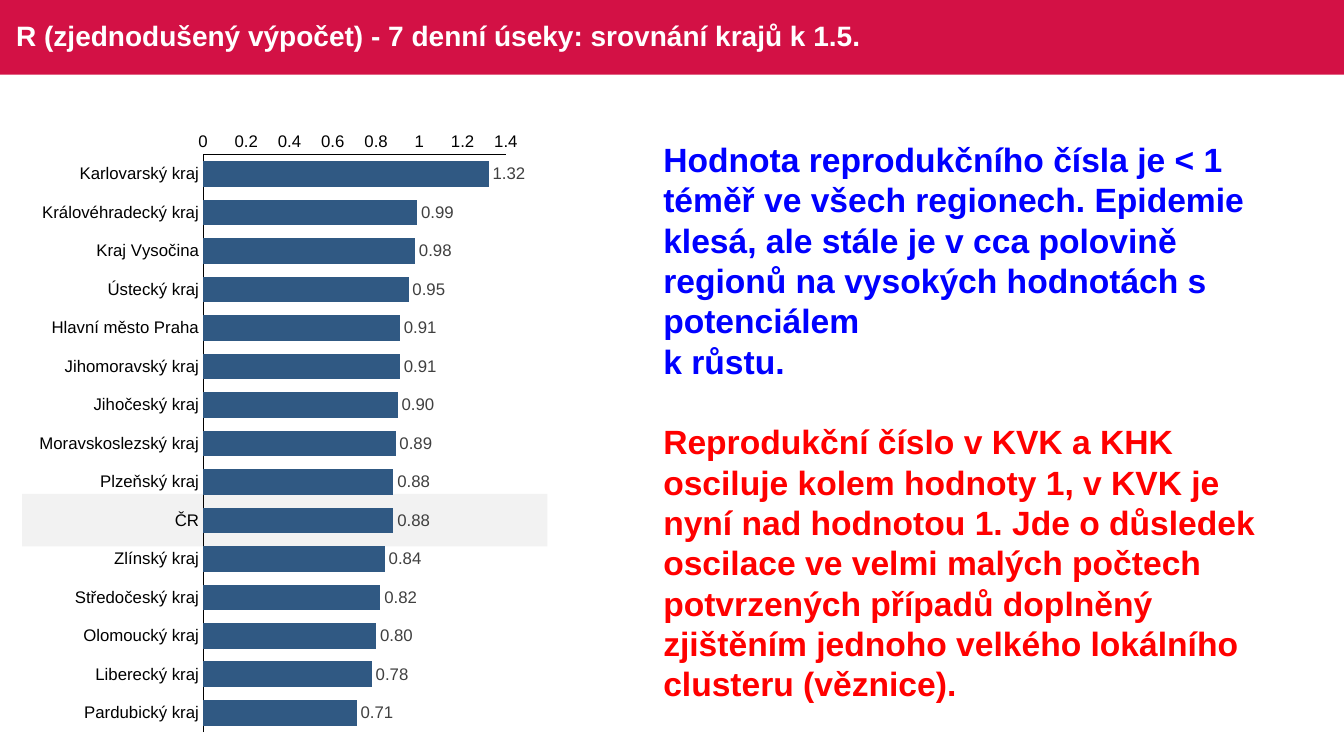
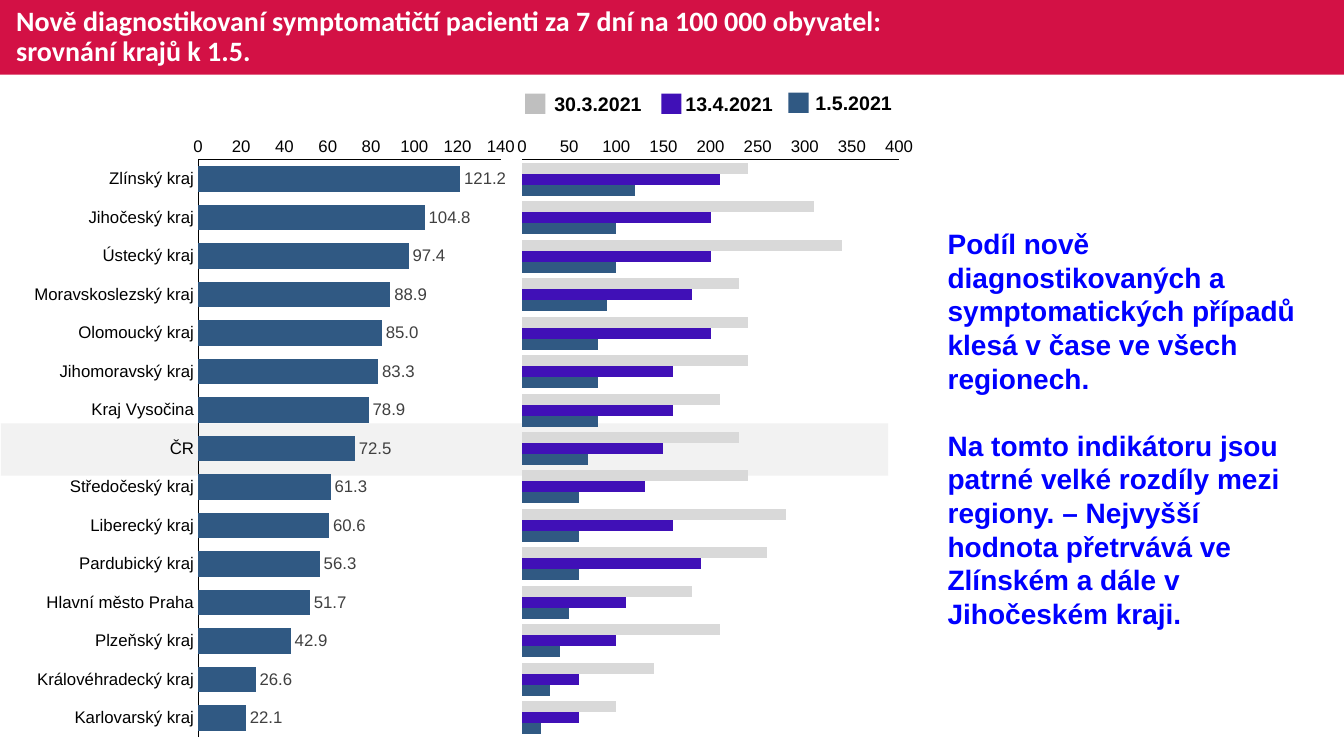
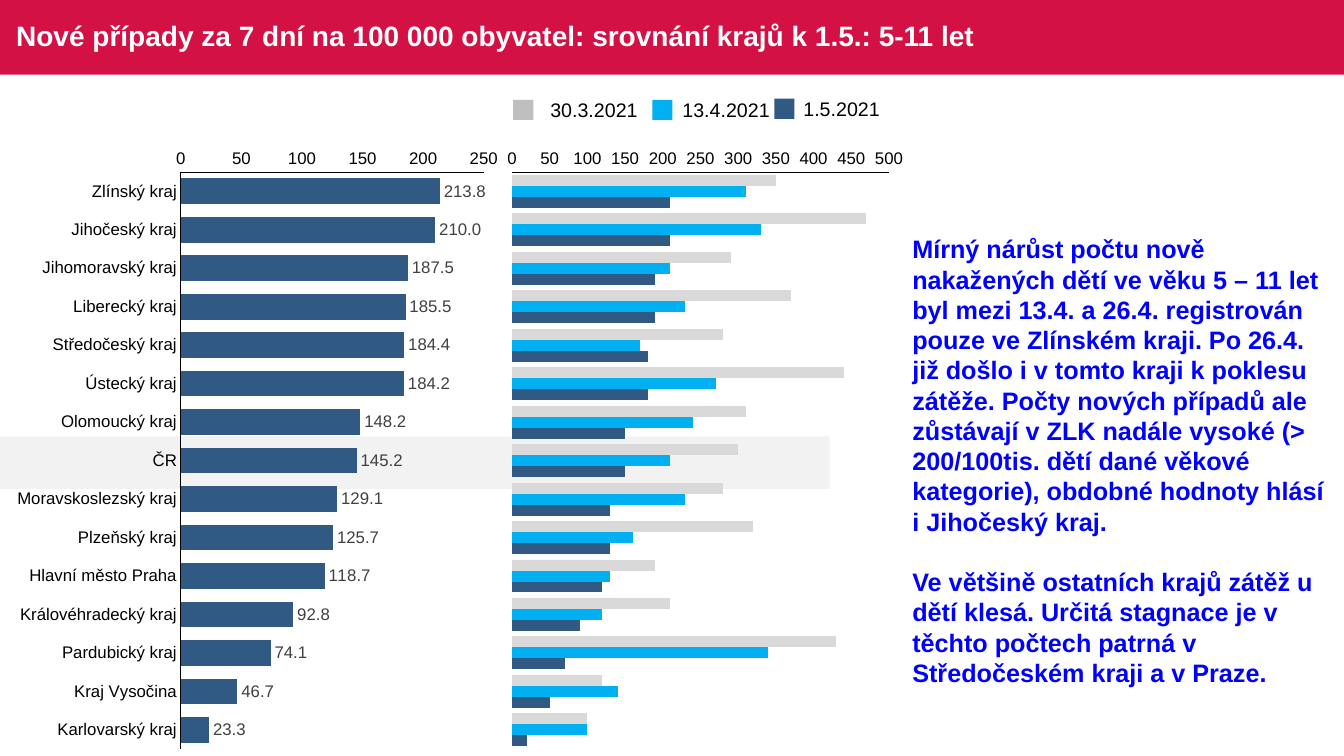
from lxml.etree import SubElement
from pptx import Presentation
from pptx.chart.data import CategoryChartData
from pptx.dml.color import RGBColor
from pptx.enum.chart import XL_CHART_TYPE, XL_LABEL_POSITION, XL_TICK_MARK
from pptx.enum.shapes import MSO_SHAPE
from pptx.enum.text import MSO_ANCHOR, MSO_AUTO_SIZE, PP_ALIGN
from pptx.oxml.ns import qn
from pptx.util import Inches, Pt

COLORS = {
    "band": "D31145", "white": "FFFFFF", "black": "000000", "label": "404040",
    "row": "F2F2F2", "key": "BFBFBF", "march": "D9D9D9", "violet": "4010B7",
    "sky": "00B0F0", "may": "305983", "blue": "0000FF", "red": "FF0000",
}
PLOT_TOP, PLOT_HEIGHT = 0.05, 0.93
CHART_HEIGHT = 6.19


def rgb(name):
    return RGBColor.from_string(COLORS[name])


def style_font(font, size, color, bold=False, name="Arial"):
    font.size, font.bold, font.name = Pt(size), bold, name
    font.color.rgb = rgb(color)


def write(p, text, size=20, color="black", bold=True, font="Arial", before=0, spacing=None):
    p.text = text
    p.alignment = PP_ALIGN.LEFT
    p.line_spacing = spacing
    if before:
        p.space_before = Pt(before)
    for r in p.runs:
        style_font(r.font, size, color, bold, font)


class Deck:
    """Holds the shared style and the current slide."""

    def __init__(self):
        self.prs = Presentation()
        self.prs.slide_width, self.prs.slide_height = Inches(13.33), Inches(7.5)
        self.s = None

    def slide(self, title, width=12.01, font="Arial"):
        self.s = self.prs.slides.add_slide(self.prs.slide_layouts[5])
        if len(self.prs.slides) == 1:
            band = self.rect(0, 0, 13.33, 0.74, "band")
            self.prs.slide_master.shapes.element.insert(2, band.element)
        sp = self.s.shapes.title
        sp.left, sp.top, sp.width, sp.height = (Inches(v) for v in (0.06, 0, width, 0.74))
        tf = sp.text_frame
        tf.vertical_anchor = MSO_ANCHOR.MIDDLE
        tf.auto_size = MSO_AUTO_SIZE.NONE
        write(tf.paragraphs[0], title, color="white", font=font, spacing=0.9)

    def rect(self, x, y, w, h, color):
        sp = self.s.shapes.add_shape(
            MSO_SHAPE.RECTANGLE, Inches(x), Inches(y), Inches(w), Inches(h))
        sp.shadow.inherit = False
        sp.fill.solid()
        sp.fill.fore_color.rgb = rgb(color)
        sp.line.fill.background()
        return sp

    def text(self, x, y, w, h, paragraphs, wrap=True):
        sp = self.s.shapes.add_textbox(Inches(x), Inches(y), Inches(w), Inches(h))
        tf = sp.text_frame
        tf.word_wrap = wrap
        tf.auto_size = MSO_AUTO_SIZE.SHAPE_TO_FIT_TEXT
        for i, (text, style) in enumerate(paragraphs):
            write(tf.add_paragraph() if i else tf.paragraphs[0], text, **style)

    def legend(self, entries, bold):
        for key_x, text_x, y, w, color, text in entries:
            self.rect(key_x, y, 0.2, 0.2, color)
            self.text(text_x, y - 0.07, w, 0.34,
                      [(text, dict(size=14, bold=bold))], wrap=False)

    def bars(self, x, y, w, plot_x, plot_w, cats, series, top, step, fmt):
        data = CategoryChartData()
        data.categories = cats
        for i, (_, values) in enumerate(series, 1):
            data.add_series(f"Series {i}", values)
        chart = self.s.shapes.add_chart(
            XL_CHART_TYPE.BAR_CLUSTERED, Inches(x), Inches(y), Inches(w),
            Inches(CHART_HEIGHT), data).chart
        chart.has_legend = chart.has_title = False
        style_font(chart.font, 10, "black")
        plot = chart.plots[0]
        plot.gap_width, plot.vary_by_categories = 50, False
        for (color, _), ser in zip(series, plot.series):
            ser.format.fill.solid()
            ser.format.fill.fore_color.rgb = rgb(color)
        for axis in (chart.category_axis, chart.value_axis):
            axis.has_major_gridlines = False
            axis.major_tick_mark = axis.minor_tick_mark = XL_TICK_MARK.NONE
            style_font(axis.tick_labels.font, 12, "black")
            axis.format.line.color.rgb = rgb("black")
            axis.format.line.width = Pt(0.75)
        chart.category_axis.reverse_order = True
        axis = chart.value_axis
        axis.minimum_scale, axis.maximum_scale, axis.major_unit = 0, top, step
        axis.tick_labels.number_format = fmt
        axis.tick_labels.number_format_is_linked = False
        self.place_plot(chart, plot_x, plot_w)
        return chart

    def place_plot(self, chart, x, w):
        area = chart.element.find(".//" + qn("c:plotArea"))
        for old in area.findall(qn("c:layout")):
            area.remove(old)
        layout = SubElement(area, qn("c:layout"))
        area.insert(0, layout)
        manual = SubElement(layout, qn("c:manualLayout"))
        for tag, val in (("layoutTarget", "inner"), ("xMode", "edge"), ("yMode", "edge"),
                         ("x", x), ("y", PLOT_TOP + 0.0045), ("w", w), ("h", PLOT_HEIGHT - 0.005)):
            SubElement(manual, qn("c:" + tag)).set("val", str(val))

    def ranking(self, x, y, rows, top, step, axis_fmt, label_fmt):
        cats, values = zip(*rows)
        chart = self.bars(x, y, 4.94, 0.347, 0.608, cats, [("may", values)],
                          top, step, axis_fmt)
        labels = chart.plots[0].series[0].data_labels
        labels.show_value = True
        labels.position = XL_LABEL_POSITION.OUTSIDE_END
        labels.number_format, labels.number_format_is_linked = label_fmt, False
        style_font(labels.font, 12, "label")

    def history(self, x, y, series, top, axis_fmt):
        cats = [str(i) for i in range(1, 16)]
        chart = self.bars(x, y, 4.09, 0.0315, 0.914, cats, series, top, 50, axis_fmt)
        chart.category_axis.visible = False


REPRODUCTION = [
    ("Karlovarský kraj", 1.32), ("Královéhradecký kraj", 0.99), ("Kraj Vysočina", 0.98),
    ("Ústecký kraj", 0.95), ("Hlavní město Praha", 0.91), ("Jihomoravský kraj", 0.91),
    ("Jihočeský kraj", 0.9), ("Moravskoslezský kraj", 0.89), ("Plzeňský kraj", 0.88),
    ("ČR", 0.88), ("Zlínský kraj", 0.84), ("Středočeský kraj", 0.82),
    ("Olomoucký kraj", 0.8), ("Liberecký kraj", 0.78), ("Pardubický kraj", 0.71),
]
SYMPTOMATIC = [
    ("Zlínský kraj", 121.2), ("Jihočeský kraj", 104.8), ("Ústecký kraj", 97.4),
    ("Moravskoslezský kraj", 88.9), ("Olomoucký kraj", 85), ("Jihomoravský kraj", 83.3),
    ("Kraj Vysočina", 78.9), ("ČR", 72.5), ("Středočeský kraj", 61.3),
    ("Liberecký kraj", 60.6), ("Pardubický kraj", 56.3), ("Hlavní město Praha", 51.7),
    ("Plzeňský kraj", 42.9), ("Královéhradecký kraj", 26.6), ("Karlovarský kraj", 22.1),
]
SYMPTOMATIC_HISTORY = [
    ("march", [240, 310, 340, 230, 240, 240, 210, 230, 240, 280, 260, 180, 210, 140, 100]),
    ("violet", [210, 200, 200, 180, 200, 160, 160, 150, 130, 160, 190, 110, 100, 60, 60]),
    ("may", [120, 100, 100, 90, 80, 80, 80, 70, 60, 60, 60, 50, 40, 30, 20]),
]
CHILDREN = [
    ("Zlínský kraj", 213.8), ("Jihočeský kraj", 210), ("Jihomoravský kraj", 187.5),
    ("Liberecký kraj", 185.5), ("Středočeský kraj", 184.4), ("Ústecký kraj", 184.2),
    ("Olomoucký kraj", 148.2), ("ČR", 145.2), ("Moravskoslezský kraj", 129.1),
    ("Plzeňský kraj", 125.7), ("Hlavní město Praha", 118.7), ("Královéhradecký kraj", 92.8),
    ("Pardubický kraj", 74.1), ("Kraj Vysočina", 46.7), ("Karlovarský kraj", 23.3),
]
CHILDREN_HISTORY = [
    ("march", [350, 470, 290, 370, 280, 440, 310, 300, 280, 320, 190, 210, 430, 120, 100]),
    ("sky", [310, 330, 210, 230, 170, 270, 240, 210, 230, 160, 130, 120, 340, 140, 100]),
    ("may", [210, 210, 190, 190, 180, 180, 150, 150, 130, 130, 120, 90, 70, 50, 20]),
]


def main():
    deck = Deck()

    deck.slide("R (zjednodušený výpočet) - 7 denní úseky: srovnání krajů k 1.5.")
    deck.rect(0.22, 4.9, 5.21, 0.52, "row")
    deck.ranking(0.3, 1.2, REPRODUCTION, 1.4, 0.2, "General", "#,##0.00")
    large = dict(size=24, color="blue")
    deck.text(6.48, 1.33, 6.32, 5.76, [
        ("Hodnota reprodukčního čísla je < 1 téměř ve všech regionech. Epidemie klesá, ale "
         "stále je v cca polovině regionů na vysokých hodnotách s potenciálem", large),
        ("k růstu.", large),
        ("Reprodukční číslo v KVK a KHK osciluje kolem hodnoty 1, v KVK je nyní nad hodnotou 1. "
         "Jde o důsledek oscilace ve velmi malých počtech potvrzených případů doplněný "
         "zjištěním jednoho velkého lokálního clusteru (věznice).",
         dict(size=24, color="red", before=28.8)),
    ])

    deck.slide("Nově diagnostikovaní symptomatičtí pacienti za 7 dní na 100 000 obyvatel:\v"
               "srovnání krajů k 1.5.", width=13.06, font="Calibri")
    deck.legend([
        (5.21, 5.4, 0.93, 1.07, "key", "30.3.2021"),
        (6.56, 6.7, 0.93, 1.07, "violet", "13.4.2021"),
        (7.82, 7.99, 0.92, 0.96, "may", "1.5.2021"),
    ], bold=True)
    deck.rect(0.01, 4.2, 8.8, 0.52, "row")
    deck.history(5.05, 1.25, SYMPTOMATIC_HISTORY, 400, "#,##0")
    deck.ranking(0.25, 1.25, SYMPTOMATIC, 140, 20, "#,##0", "#,##0.0")
    deck.text(9.3, 2.2, 3.82, 4.14, [
        ("Podíl nově diagnostikovaných a symptomatických případů klesá v čase ve všech "
         "regionech.", dict(color="blue")),
        ("Na tomto indikátoru jsou patrné velké rozdíly mezi regiony. – Nejvyšší hodnota "
         "přetrvává ve Zlínském a dále v Jihočeském kraji.", dict(color="blue", before=24)),
    ])

    deck.slide("Nové případy za 7 dní na 100 000 obyvatel: srovnání krajů k 1.5.: 5-11 let")
    deck.rect(0, 4.33, 8.23, 0.52, "row")
    deck.history(4.95, 1.37, CHILDREN_HISTORY, 500, "General")
    deck.ranking(0.08, 1.37, CHILDREN, 250, 50, "General", "#,##0.0")
    deck.legend([
        (5.09, 5.36, 0.99, 1.07, "key", "30.3.2021"),
        (6.47, 6.67, 0.99, 1.07, "sky", "13.4.2021"),
        (7.68, 7.87, 0.98, 0.96, "may", "1.5.2021"),
    ], bold=False)
    deck.text(8.95, 2.27, 4.29, 4.64, [
        ("Mírný nárůst počtu nově nakažených dětí ve věku 5 – 11 let byl mezi 13.4. a 26.4. "
         "registrován pouze ve Zlínském kraji. Po 26.4. již došlo i v tomto kraji k poklesu "
         "zátěže. Počty nových případů ale zůstávají v ZLK nadále vysoké (> 200/100tis. dětí "
         "dané věkové kategorie), obdobné hodnoty hlásí i Jihočeský kraj.",
         dict(size=18, color="blue")),
        ("Ve většině ostatních krajů zátěž u dětí klesá. Určitá stagnace je v těchto počtech "
         "patrná v Středočeském kraji a v Praze.", dict(size=18, color="blue", before=21.6)),
    ])

    deck.prs.save("out.pptx")


if __name__ == "__main__":
    main()
